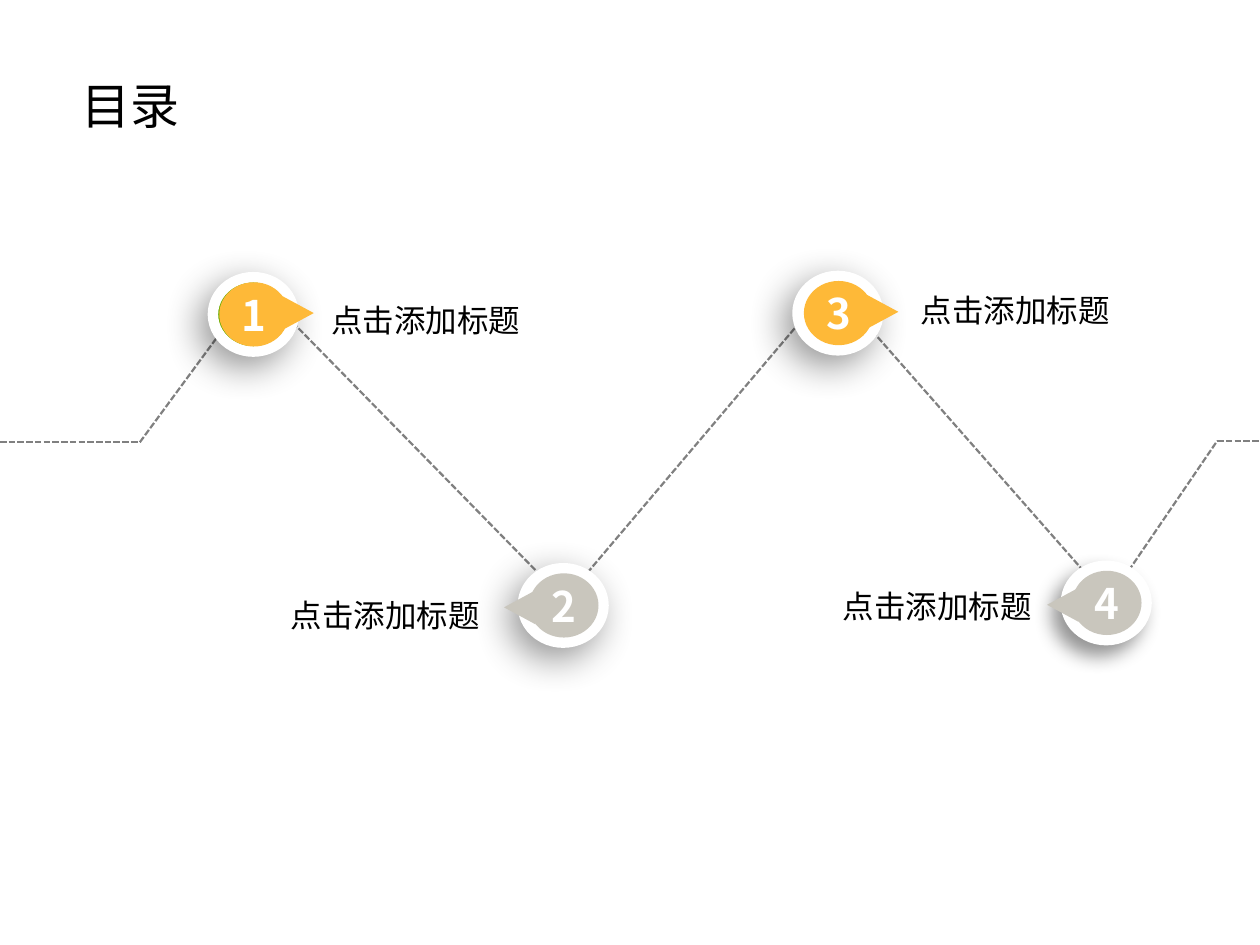
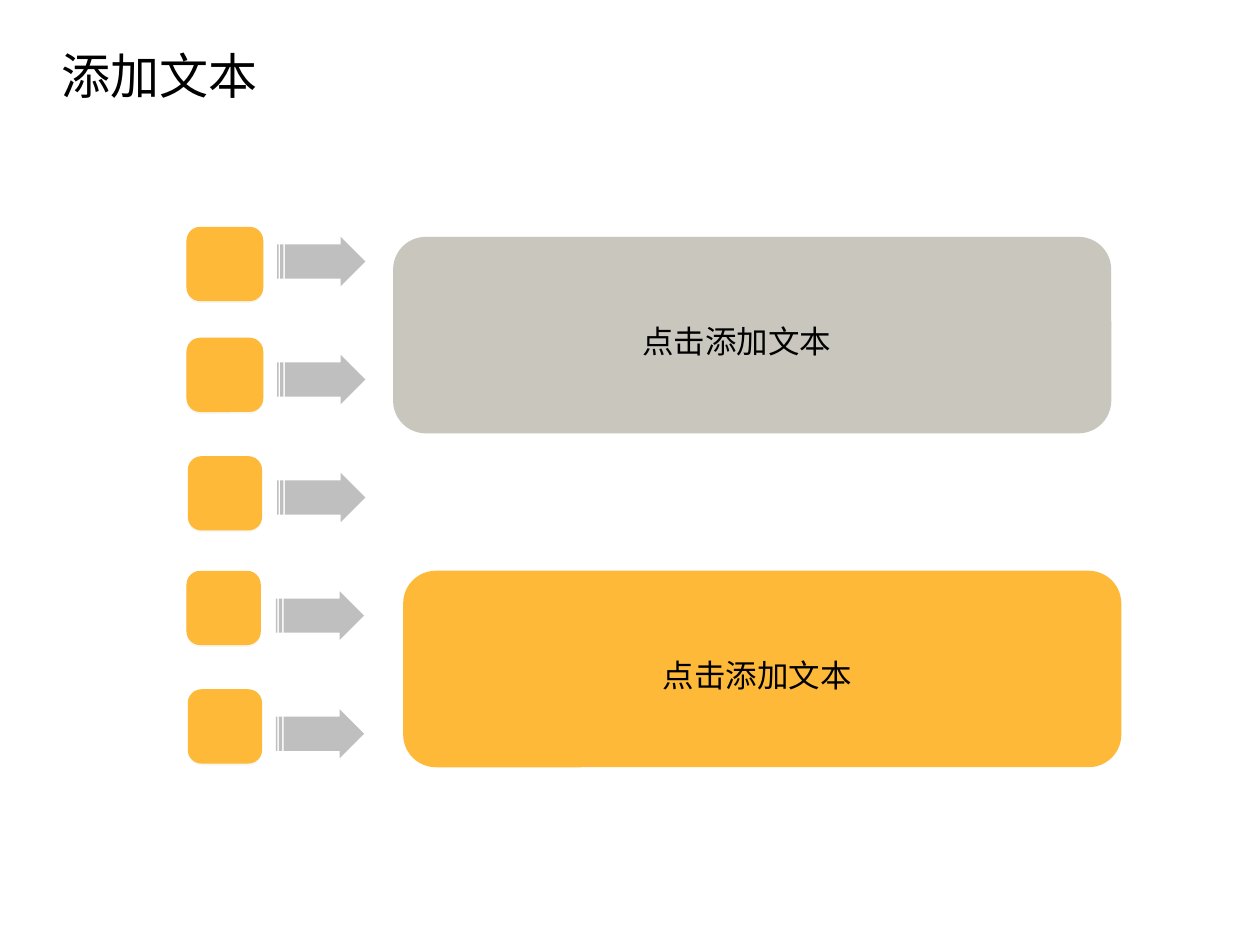
from itertools import pairwise
from lxml import etree
from pptx import Presentation
from pptx.dml.color import RGBColor
from pptx.enum.dml import MSO_LINE
from pptx.enum.shapes import MSO_CONNECTOR, MSO_SHAPE
from pptx.enum.text import MSO_ANCHOR, MSO_AUTO_SIZE, PP_ALIGN
from pptx.oxml.ns import qn
from pptx.util import Inches, Pt

OVAL, TIP = MSO_SHAPE.OVAL, MSO_SHAPE.ISOSCELES_TRIANGLE
ROUND, ARROW = MSO_SHAPE.ROUNDED_RECTANGLE, MSO_SHAPE.STRIPED_RIGHT_ARROW
LINE, DASH = MSO_CONNECTOR.STRAIGHT, MSO_LINE.SQUARE_DOT
TOP, MID = MSO_ANCHOR.TOP, MSO_ANCHOR.MIDDLE
LEFT, CENTER = PP_ALIGN.LEFT, PP_ALIGN.CENTER
FIXED = MSO_AUTO_SIZE.NONE

FONT = "Noto Sans CJK SC"
COLOR = {
    "ink": "000000", "white": "FFFFFF", "gold": "FEB938", "stone": "C9C6BD",
    "green": "6CAC00", "path": "808080", "arrow": "BFBFBF", "cream": "EEECE1",
}

deck = Presentation()
deck.slide_width, deck.slide_height = Inches(10), Inches(7.5)
cell = deck.slide_width // 100


def write(box, text, size=18, color="ink", bold=False, align=LEFT, anchor=TOP, inset=(1, 0.5)):
    frame = box.text_frame
    frame.auto_size, frame.word_wrap = FIXED, False
    frame.vertical_anchor = anchor
    frame.margin_left = frame.margin_right = int(inset[0] * cell)
    frame.margin_top = frame.margin_bottom = int(inset[1] * cell)
    par = frame.paragraphs[0]
    par.alignment = align
    run = par.add_run()
    run.text = text
    font = run.font
    font.name, font.size, font.bold = FONT, Pt(size), bold
    font.color.rgb = RGBColor.from_string(COLOR[color])
    etree.SubElement(font._element, qn("a:ea"), typeface=FONT)


def draw(slide, kind, area, fill, edge=None, turn=0, shade=None, bends=()):
    shape = slide.shapes.add_shape(kind, *[int(n * cell) for n in area])
    shape.fill.solid()
    shape.fill.fore_color.rgb = RGBColor.from_string(COLOR[fill])
    if edge:
        shape.line.color.rgb = RGBColor.from_string(COLOR[edge])
        shape.line.width = Pt(6)
    else:
        shape.line.fill.background()
    shape.rotation = turn
    for i, bend in enumerate(bends):
        shape.adjustments[i] = bend
    shape.shadow.inherit = False
    if shade:
        tone, alpha, blur, dist, angle = shade
        glow = etree.SubElement(
            shape._element.spPr.find(qn("a:effectLst")), qn("a:outerShdw"),
            blurRad=str(Pt(blur)), dist=str(Pt(dist)), dir=str(angle * 60000),
            algn="ctr", rotWithShape="0")
        hue = etree.SubElement(glow, qn("a:srgbClr"), val=COLOR[tone])
        etree.SubElement(hue, qn("a:alpha"), val=str(alpha * 1000))
    return shape


slides = []
for name, left, top in [("目录", 5.5, 5.5), ("添加文本", 3.9, 3.1)]:
    slide = deck.slides.add_slide(deck.slide_layouts[5])
    title = slide.shapes.title
    title.left, title.top = int(left * cell), int(top * cell)
    title.width, title.height = 32 * cell, int(5.7 * cell)
    write(title, name, size=28)
    slides.append(slide)
agenda, content = slides

route = [(0, 35.1), (11.1, 35.1), (20.3, 22.6), (44.8, 47.6),
         (66, 22.6), (88, 47.6), (96.6, 35), (100, 35)]
for start, end in pairwise(route):
    line = agenda.shapes.add_connector(LINE, *[int(n * cell) for n in start + end])
    line.line.color.rgb = RGBColor.from_string(COLOR["path"])
    line.line.width, line.line.dash_style = Pt(1.25), DASH
    etree.SubElement(line._element.spPr, qn("a:effectLst"))

pins = [
    ("1", 16.9, 22, "green", "gold", 22, (25.3, 23.4)),
    ("3", 63.3, 21.9, "white", "gold", 22, (72.1, 22.6)),
    ("2", 41.5, 45.1, "white", "stone", 22, (22.1, 46.8)),
    ("4", 84.6, 44.9, "white", "stone", 11, (65.9, 46.1)),
]
for num, x, y, base, fill, blur, spot in pins:
    draw(agenda, OVAL, (x, y, 6.4, 5.9), base, edge="white", shade=("ink", 41, blur, 8, 130))
    shift, drop, turn = (5.4, 1.6, 90) if fill == "gold" else (-1.6, 1.85, 270)
    draw(agenda, TIP, (x + shift, y + drop, 2.7, 2.5), fill, turn=turn)
    dot = draw(agenda, OVAL, (x + 0.5, y + 0.4, 5.5, 5.1), fill)
    write(dot, num, size=24, color="white", bold=True, align=CENTER, anchor=MID, inset=(0, 0))
    label = agenda.shapes.add_textbox(*[int(n * cell) for n in (*spot, 17.2, 4)])
    write(label, "点击添加标题")

tiles = [(14.8, 18, 6.1), (14.8, 26.8, 6.1), (14.9, 36.2, 5.9),
         (14.8, 45.3, 5.9), (14.9, 54.7, 5.9)]
for i, (x, y, wide) in enumerate(tiles):
    draw(content, ROUND, (x, y, wide, 5.9), "gold", shade=("cream", 50, 0, 1, 90), bends=[0.185])
    draw(content, ARROW, (22 if i < 3 else 21.9, 18.8 + 9.37 * i, 7, 3.9), "arrow",
         bends=[0.696, 0.5])

panels = [(31.2, 18.8, "stone", 50), (32, 45.3, "gold", 51.6)]
for x, y, fill, inner in panels:
    draw(content, ROUND, (x, y, 57, 15.6), fill)
    label = content.shapes.add_textbox(*[int(n * cell) for n in (inner, y + 6.25, 17.2, 4)])
    write(label, "点击添加文本")

deck.save("out.pptx")
